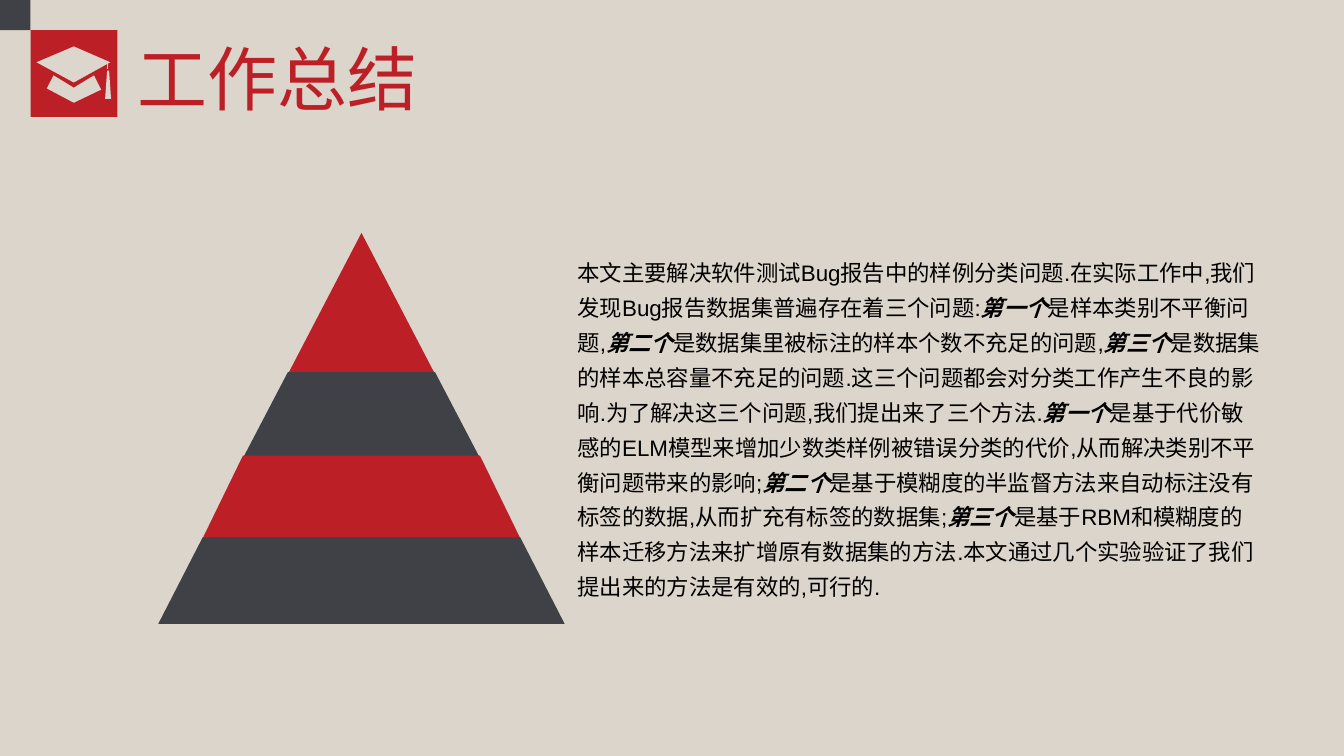
from itertools import cycle

from lxml import etree
from pptx import Presentation
from pptx.dml.color import RGBColor
from pptx.enum.shapes import MSO_SHAPE
from pptx.enum.text import MSO_ANCHOR, MSO_AUTO_SIZE, PP_ALIGN
from pptx.oxml.ns import qn
from pptx.util import Cm, Pt

RECTANGLE, TRIANGLE, TRAPEZOID = MSO_SHAPE.RECTANGLE, MSO_SHAPE.ISOSCELES_TRIANGLE, MSO_SHAPE.TRAPEZOID
TOP, LEFT, NO_AUTOFIT = MSO_ANCHOR.TOP, PP_ALIGN.LEFT, MSO_AUTO_SIZE.NONE

SAND = RGBColor(0xDC, 0xD5, 0xCB)
CAP_SAND = RGBColor(0xDC, 0xD6, 0xCC)
RED = RGBColor(0xBC, 0x1F, 0x26)
SLATE = RGBColor(0x40, 0x41, 0x46)
BLACK = RGBColor(0x00, 0x00, 0x00)
CJK_FONT = "Noto Sans CJK SC"

CAP_OUTLINES = [
    [(1.09, 0.41), (2.01, 0.81), (1.09, 1.32), (0.15, 0.81)],
    [(0.58, 1.14), (1.09, 1.45), (1.6, 1.14), (1.78, 1.5), (1.09, 1.83), (0.41, 1.47)],
    [(1.93, 0.81), (1.96, 0.81), (1.96, 0.99), (1.93, 0.99)],
    [(1.88, 1.73), (2.03, 1.73), (1.98, 1.02), (1.93, 1.02)],
]

TIERS = [(3.71, 0, 3.56), (5.97, 3.51, 2.16), (8.0, 5.61, 2.08), (10.24, 7.67, 2.18)]

SUMMARY = [
    ("本文主要解决软件测试Bug报告中的样例分类问题.在实际工作中,我们发现Bug报告数据集普遍存在着三个问题:", False),
    ("第一个", True),
    ("是样本类别不平衡问题,", False),
    ("第二个", True),
    ("是数据集里被标注的样本个数不充足的问题,", False),
    ("第三个", True),
    ("是数据集的样本总容量不充足的问题.这三个问题都会对分类工作产生不良的影响."
     "为了解决这三个问题,我们提出来了三个方法.", False),
    ("第一个", True),
    ("是基于代价敏感的ELM模型来增加少数类样例被错误分类的代价,从而解决类别不平衡问题带来的影响;", False),
    ("第二个", True),
    ("是基于模糊度的半监督方法来自动标注没有标签的数据,从而扩充有标签的数据集;", False),
    ("第三个", True),
    ("是基于RBM和模糊度的样本迁移方法来扩增原有数据集的方法."
     "本文通过几个实验验证了我们提出来的方法是有效的,可行的.", False),
]


def paint(shape, color):
    """Give a shape a flat fill without outline or shadow."""
    shape.fill.solid()
    shape.fill.fore_color.rgb = color
    shape.line.fill.background()
    shape.shadow.inherit = False


def add_block(slide, preset, left, top, width, height, color):
    """Add a flat preset shape, measured in centimetres."""
    block = slide.shapes.add_shape(preset, Cm(left), Cm(top), Cm(width), Cm(height))
    paint(block, color)
    return block


def prepare_text(placeholder, left, top, width, height, wrap):
    """Place a placeholder and return its first paragraph, aligned left."""
    placeholder.left, placeholder.top = Cm(left), Cm(top)
    placeholder.width, placeholder.height = Cm(width), Cm(height)
    frame = placeholder.text_frame
    frame.auto_size = NO_AUTOFIT
    frame.word_wrap = wrap
    frame.vertical_anchor = TOP
    paragraph = frame.paragraphs[0]
    paragraph.alignment = LEFT
    paragraph.space_before = Pt(0)
    return paragraph


def set_font(paragraph, name, size, color):
    """Set the Latin and East Asian fonts, size and colour of a paragraph."""
    font = paragraph.font
    font.size = Pt(size)
    font.color.rgb = color
    font.name = name
    defaults = paragraph._p.pPr.find(qn("a:defRPr"))
    etree.SubElement(defaults, qn("a:ea")).set("typeface", CJK_FONT)


def add_header(slide, left, top, badge_size):
    """Draw the corner square, the graduation cap badge and the title."""
    add_block(slide, RECTANGLE, 0, 0, left, top, SLATE)
    add_block(slide, RECTANGLE, left, top, badge_size, badge_size, RED)
    for outline in CAP_OUTLINES:
        points = [(Cm(left + x), Cm(top + y)) for x, y in outline]
        builder = slide.shapes.build_freeform(*points[0])
        builder.add_line_segments(points[1:], close=True)
        paint(builder.convert_to_shape(), CAP_SAND)
    title = prepare_text(slide.shapes.title, left + badge_size + 0.25, top, 7.57, 2.36, False)
    title.text = "工作总结"
    set_font(title, CJK_FONT, 50, RED)


def add_pyramid(slide, left, top, width):
    """Stack the tiers, each as wide at its top as the one above is at its base."""
    upper_width = 0
    for (tier_width, offset, height), color in zip(TIERS, cycle([RED, SLATE])):
        preset = TRAPEZOID if upper_width else TRIANGLE
        tier_left = left + (width - tier_width) / 2
        tier = add_block(slide, preset, tier_left, top + offset, tier_width, height, color)
        if upper_width:
            tier.adjustments[0] = (tier_width - upper_width) / 2 / height
        upper_width = tier_width


def add_summary(slide, left, top, width, height):
    """Write the summary paragraph with its ordinals emphasised."""
    summary = prepare_text(slide.placeholders[1], left, top, width, height, True)
    summary.line_spacing = 1.3
    properties = summary._p.get_or_add_pPr()
    properties.set("marL", "0")
    properties.set("indent", "0")
    etree.SubElement(properties, qn("a:buNone"))
    set_font(summary, "Arial", 16, BLACK)
    for text, emphasised in SUMMARY:
        run = summary.add_run()
        run.text = text
        if emphasised:
            run.font.bold = run.font.italic = True


def main():
    """Build the work summary slide and save it."""
    presentation = Presentation()
    presentation.slide_width, presentation.slide_height = Cm(33.87), Cm(19.05)
    slide = presentation.slides.add_slide(presentation.slide_layouts[1])
    slide.background.fill.solid()
    slide.background.fill.fore_color.rgb = SAND
    add_header(slide, 0.77, 0.76, 2.19)
    add_pyramid(slide, 3.99, 5.87, 10.24)
    add_summary(slide, 14.3, 6.2, 17.73, 9.07)
    presentation.save("out.pptx")


if __name__ == "__main__":
    main()
